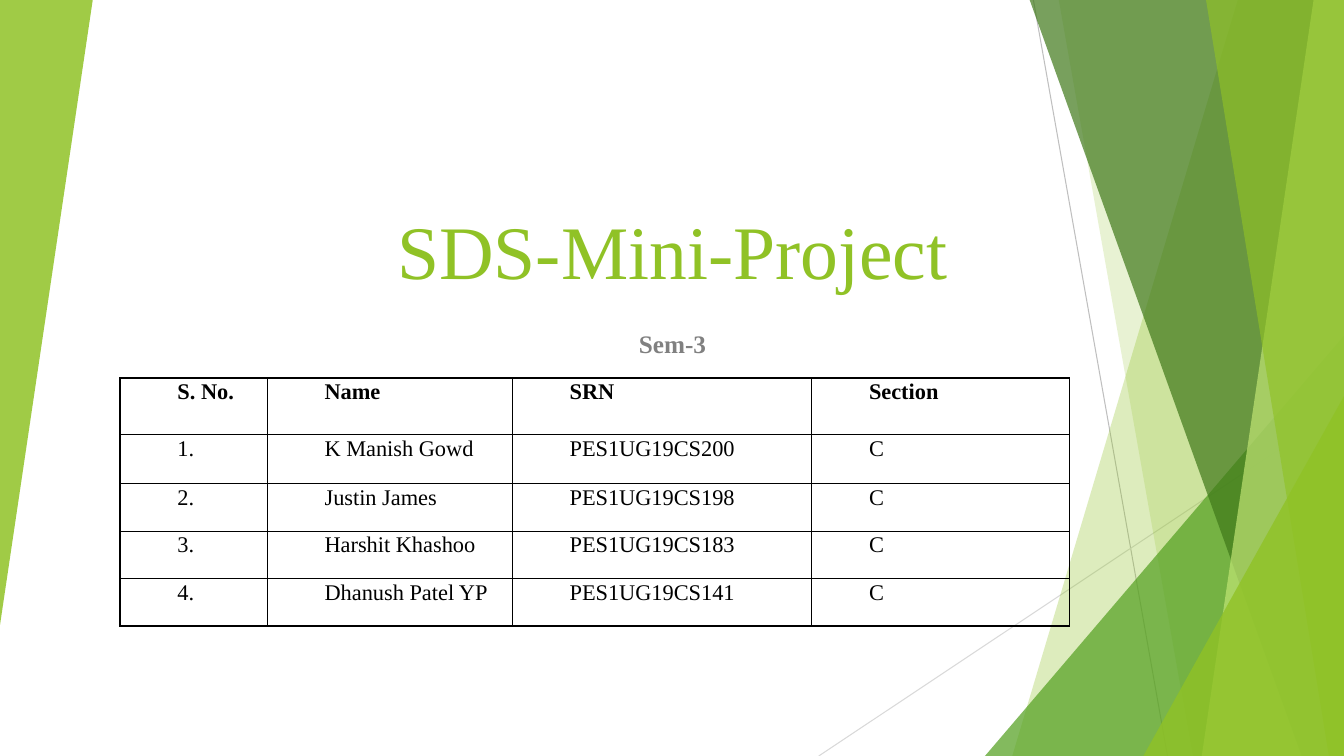
"""Build the title slide of a class project with its team table."""
from lxml.etree import SubElement
from pptx import Presentation
from pptx.dml.color import RGBColor
from pptx.enum.shapes import MSO_CONNECTOR, MSO_SHAPE
from pptx.enum.text import MSO_ANCHOR, PP_ALIGN
from pptx.oxml.ns import qn
from pptx.util import Inches, Pt

theme = {
    "lime": "90C226", "fern": "54A021", "pine": "3F7819", "pale": "C0E474",
    "gray": "808080", "ink": "000000", "wire": "BFBFBF", "mist": "D9D9D9",
    "face": "Times New Roman", "title": 54, "term": 18, "cell": 16, "rule": 0.75, "edge": 1,
}

deck = Presentation()
deck.slide_width, deck.slide_height = Inches(13.33), Inches(7.5)
slide = deck.slides.add_slide(deck.slide_layouts[6])
shapes = slide.shapes


def place(*shares):
    """Turn x, y pairs in percent of the slide into lengths."""
    sides = (deck.slide_width, deck.slide_height)
    return [round(sides[i % 2] * share / 100) for i, share in enumerate(shares)]


def write(frame, text, size, tint, bold, form):
    """Set the only paragraph of a text frame."""
    para = frame.paragraphs[0]
    for key, val in form.items():
        setattr(para, key, val)
    run = para.add_run()
    run.text = text
    for key, val in {"name": theme["face"], "size": Pt(theme[size]), "bold": bold}.items():
        setattr(run.font, key, val)
    run.font.color.rgb = RGBColor.from_string(theme[tint])


for tint, ends in (("wire", (76.89, 0, 86.87, 100)), ("mist", (100, 53.73, 60.92, 100))):
    line = shapes.add_connector(MSO_CONNECTOR.STRAIGHT, *place(*ends))
    line.line.color.rgb = RGBColor.from_string(theme[tint])
    line.line.width = Pt(theme["rule"])
    SubElement(line._element.spPr, qn("a:effectLst"))

shards = (
    ("band", (92.12, 75.32), "lime", 30),
    ("band", (78.77, 88.75), "lime", 20),
    ("peak", (73.29, 44.4, 26.71, 55.6), "fern", 72),
    ("band", (76.59, 96.85), "pine", 70),
    ("band", (97.75, 89.42), "pale", 70),
    ("band", (89.72, 98.87), "lime", 65),
    ("peak", (85.07, 52.4, 14.93, 47.6), "lime", 80),
    ("flip", (0, 0, 6.9, 82.67), "lime", 85),
)
for kind, box, tint, alpha in shards:
    if kind == "band":
        head, foot = box
        pen = shapes.build_freeform(*place(head, -0.13))
        pen.add_line_segments([place(100, -0.13), place(100, 100), place(foot, 100)])
        shard = pen.convert_to_shape()
    else:
        shard = shapes.add_shape(MSO_SHAPE.ISOSCELES_TRIANGLE, *place(*box))
        shard.adjustments[0] = 1
        shard.rotation = 180 if kind == "flip" else 0
    shard.shadow.inherit = False
    shard.line.fill.background()
    shard.fill.solid()
    shard.fill.fore_color.rgb = RGBColor.from_string(theme[tint])
    tone = shard._element.spPr.find(qn("a:solidFill"))[0]
    SubElement(tone, qn("a:alpha"), val=str(alpha * 1000))

heads = (
    ("SDS-Mini-Project", (12.53, 16.4, 75.02, 23.2), "title", "lime", False, MSO_ANCHOR.BOTTOM, 0),
    ("Sem-3", (12.53, 42.8, 75.02, 33.87), "term", "gray", True, MSO_ANCHOR.TOP, 10),
)
for text, box, size, tint, bold, hold, gap in heads:
    frame = shapes.add_textbox(*place(*box)).text_frame
    frame.word_wrap = True
    frame.vertical_anchor = hold
    write(frame, text, size, tint, bold, {"alignment": PP_ALIGN.CENTER, "space_before": Pt(gap)})

rows = [("S. No.", "Name", "SRN", "Section")] + [
    (f"{i}.", name, f"PES1UG19CS{code}", "C")
    for i, (name, code) in enumerate((
        ("K Manish Gowd", 200), ("Justin James", 198),
        ("Harshit Khashoo", 183), ("Dhanush Patel YP", 141)), 1)
]
wide = (10.95, 18.23, 22.28, 19.2)
tall = (7.47, 6.53, 6.27, 6.27, 6.27)
team = shapes.add_table(len(tall), len(wide), *place(8.93, 50, sum(wide), sum(tall))).table
for col, share in zip(team.columns, wide):
    col.width = place(share)[0]
for row, share in zip(team.rows, tall):
    row.height = place(0, share)[1]

pad = place(0.52)[0]
trim = {"margin_left": pad, "margin_right": pad, "margin_top": 0, "margin_bottom": 0}
for r, row in enumerate(rows):
    for c, text in enumerate(row):
        cell = team.cell(r, c)
        for key, val in trim.items():
            setattr(cell, key, val)
        form = {"line_spacing": 1.07, "space_after": Pt(8 if c == 3 else 0)}
        write(cell.text_frame, text, "cell", "ink", r == 0, form)
        prop = cell.text_frame.paragraphs[0]._p.get_or_add_pPr()
        prop.set("marL", str(place(3.75)[0]))
        prop.set("indent", "0")
        frame = cell._tc.get_or_add_tcPr()
        for side in ("lnL", "lnR", "lnT", "lnB"):
            edge = SubElement(frame, qn(f"a:{side}"), w=str(Pt(theme["edge"])))
            SubElement(SubElement(edge, qn("a:solidFill")), qn("a:srgbClr"), val=theme["ink"])
        cell.fill.background()

deck.save("out.pptx")
